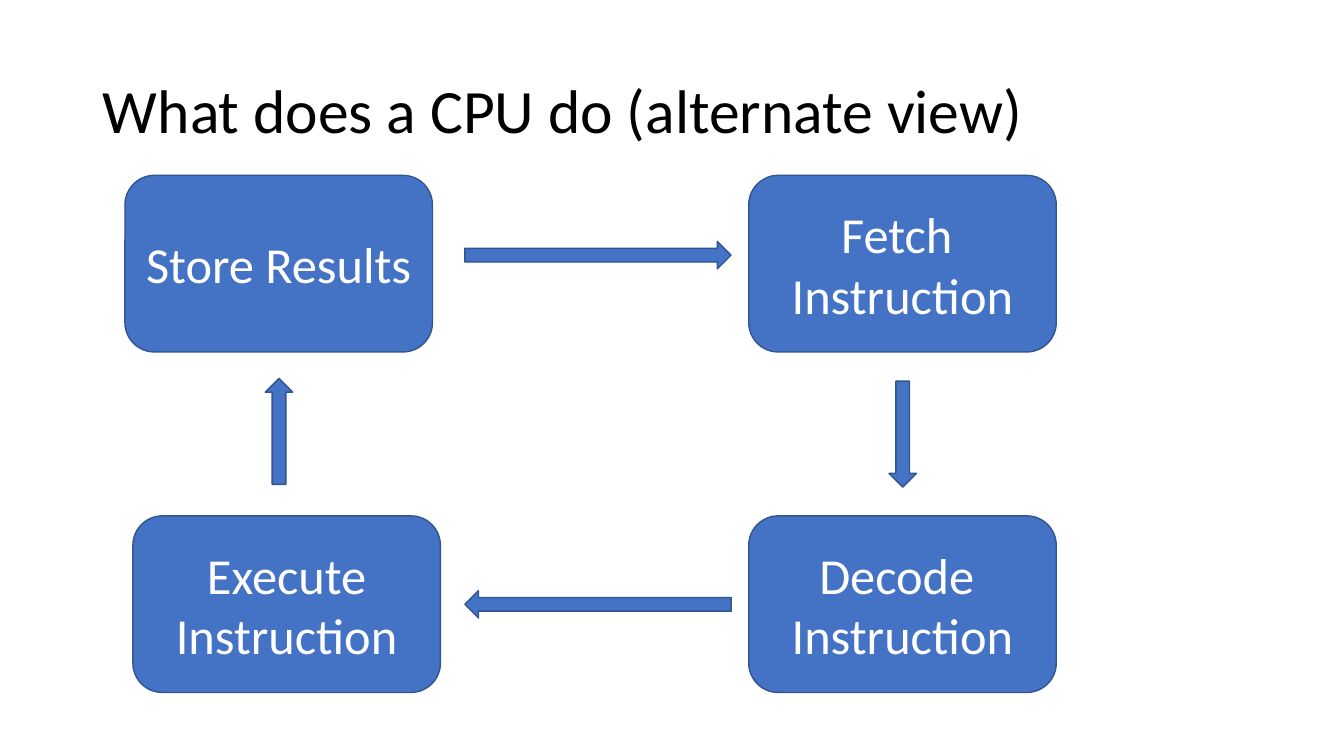
from pptx import Presentation
from pptx.dml.color import RGBColor
from pptx.enum.shapes import MSO_SHAPE
from pptx.enum.text import MSO_ANCHOR, PP_ALIGN
from pptx.util import Cm, Pt

ROUND, ARROW = MSO_SHAPE.ROUNDED_RECTANGLE, MSO_SHAPE.DOWN_ARROW
MIDDLE = MSO_ANCHOR.MIDDLE
LEFT, CENTER = PP_ALIGN.LEFT, PP_ALIGN.CENTER
TITLE_ONLY = 5

BLUE, EDGE, WHITE, BLACK = "4472C4", "325491", "FFFFFF", "000000"
TITLE = {"size": Pt(44), "name": "Calibri", "bold": False}
LABEL = {"size": Pt(36), "name": "Calibri"}

WIDE, HIGH = 7.75, 4.45  # step box, in cm
THICK = 0.69  # arrow width, in cm
STEPS = [  # left and top within the cycle, lines of text
    (15.72, 0, ["Fetch \vInstruction"]),
    (15.72, 8.58, ["Decode \vInstruction"]),
    (0.2, 8.58, ["Execute", "Instruction"]),
    (0, 0, ["Store Results"]),
]
ARROWS = [  # centre within the cycle, length, rotation
    (19.6, 6.52, 2.67, 0),
    (11.92, 10.81, 6.71, 90),
    (3.88, 6.45, 2.67, 180),
    (11.92, 2.01, 6.71, 270),
]


def color(code):
    return RGBColor.from_string(code)


def style(par, form, code, align):
    for key, value in form.items():
        setattr(par.font, key, value)
    par.font.color.rgb = color(code)
    par.alignment = align


def block(slide, kind, left, top, width, height):
    shape = slide.shapes.add_shape(kind, Cm(left), Cm(top), Cm(width), Cm(height))
    shape.shadow.inherit = False
    shape.fill.solid()
    shape.fill.fore_color.rgb = color(BLUE)
    shape.line.color.rgb = color(EDGE)
    shape.line.width = Pt(1)
    return shape


def heading(slide, text, left, top, width, height):
    title = slide.shapes.title
    title.left, title.top = Cm(left), Cm(top)
    title.width, title.height = Cm(width), Cm(height)
    frame = title.text_frame
    frame.text = text
    frame.vertical_anchor = MIDDLE
    par = frame.paragraphs[0]
    par.line_spacing = 0.9
    style(par, TITLE, BLACK, LEFT)


def step(slide, lines, left, top):
    frame = block(slide, ROUND, left, top, WIDE, HIGH).text_frame
    frame.text = "\n".join(lines)
    frame.word_wrap = True
    frame.vertical_anchor = MIDDLE
    for par in frame.paragraphs:
        style(par, LABEL, WHITE, CENTER)


def cycle(slide, left, top):
    """Place the four steps and the arrows between them."""
    for x, y, lines in STEPS:
        step(slide, lines, left + x, top + y)
    for x, y, length, turn in ARROWS:
        arrow = block(slide, ARROW, left + x - THICK / 2,
                      top + y - length / 2, THICK, length)
        arrow.rotation = turn


def main():
    deck = Presentation()
    deck.slide_width, deck.slide_height = Cm(33.87), Cm(19.05)
    slide = deck.slides.add_slide(deck.slide_layouts[TITLE_ONLY])
    heading(slide, "What does a CPU do (alternate view)", 2.34, 1.02, 29.21, 3.68)
    cycle(slide, 3.15, 4.42)
    deck.save("out.pptx")


if __name__ == "__main__":
    main()
